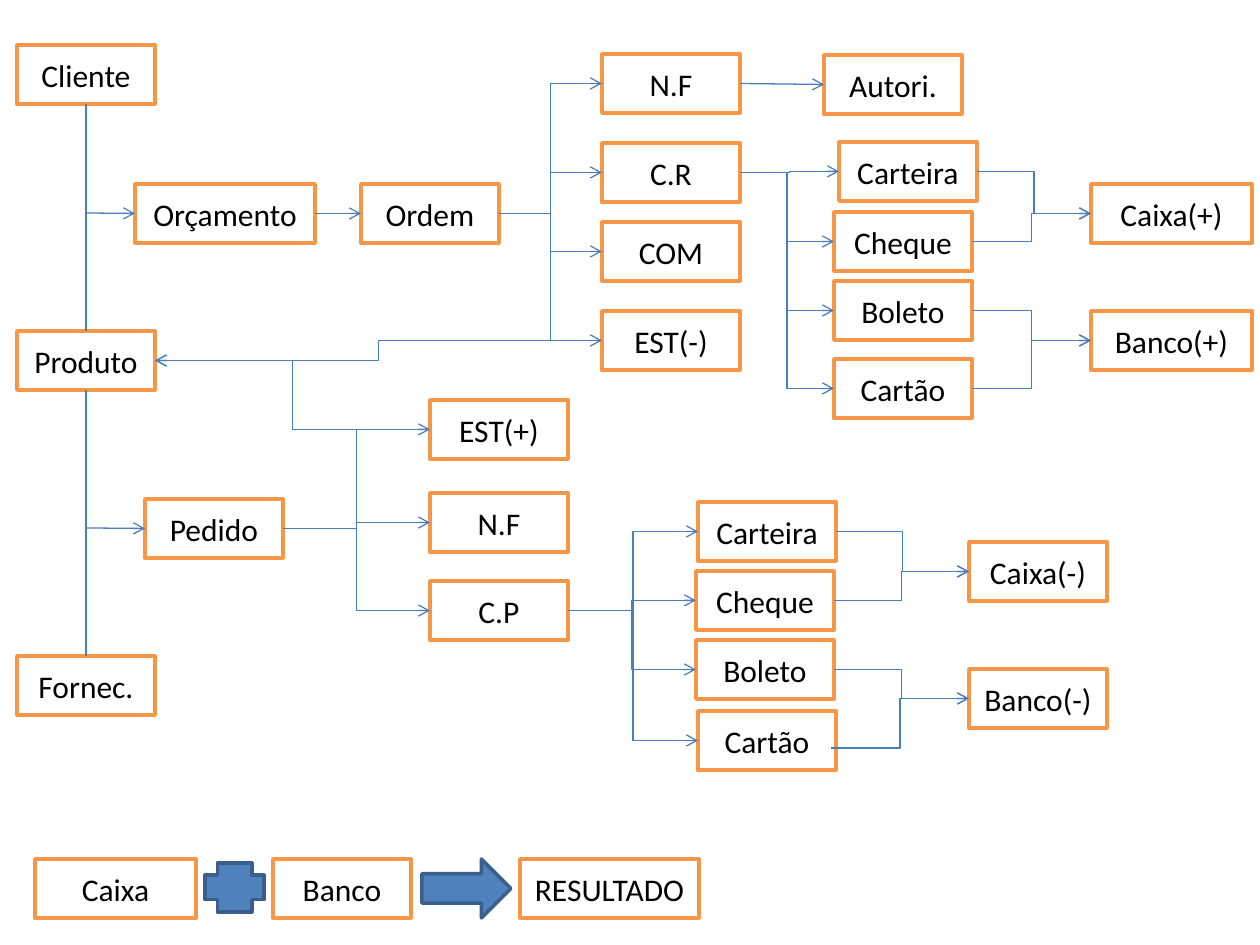
"""Build the flowchart of sales, purchases, cash and bank."""
from typing import NamedTuple

from lxml.etree import SubElement
from pptx import Presentation
from pptx.dml.color import RGBColor
from pptx.enum.shapes import MSO_CONNECTOR, MSO_SHAPE
from pptx.enum.text import MSO_ANCHOR, PP_ALIGN
from pptx.oxml.ns import qn
from pptx.util import Emu, Pt

COLOURS = {
    "white": "FFFFFF",
    "black": "000000",
    "border": "F79646",
    "connector": "4B7EBC",
    "symbol": "4F81BD",
    "symbol border": "3A5F8C",
}
FONT = {"name": "Calibri", "size": Pt(18)}
FRAME = {"word_wrap": True, "vertical_anchor": MSO_ANCHOR.MIDDLE}
PIXEL = 914400 / 126
TOP, LEFT, BOTTOM, RIGHT = range(4)
SPINE = 86


class Box(NamedTuple):
    key: str
    text: str
    left: int
    top: int
    width: int = 138
    height: int = 59


class Symbol(NamedTuple):
    kind: MSO_SHAPE
    left: int
    top: int
    width: int
    height: int


class Link(NamedTuple):
    source: str
    targets: tuple[str, ...]
    kind: MSO_CONNECTOR = MSO_CONNECTOR.ELBOW
    sides: tuple[int, int] = (RIGHT, LEFT)
    arrow: bool = True


BOXES = [
    Box("product", "Produto", 17, 331),
    Box("client", "Cliente", 17, 45),
    Box("supplier", "Fornec.", 17, 656),
    Box("quote", "Orçamento", 135, 184, 180),
    Box("sale", "Ordem", 361, 184),
    Box("sale invoice", "N.F", 602, 54),
    Box("receivable", "C.R", 602, 143),
    Box("commission", "COM", 602, 222),
    Box("stock out", "EST(-)", 602, 311),
    Box("authorisation", "Autori.", 824, 55),
    Box("wallet in", "Carteira", 839, 142),
    Box("cheque in", "Cheque", 834, 212),
    Box("slip in", "Boleto", 834, 281),
    Box("card in", "Cartão", 834, 359),
    Box("cash in", "Caixa(+)", 1091, 184, 161),
    Box("bank in", "Banco(+)", 1091, 311, 161),
    Box("order", "Pedido", 145, 499),
    Box("stock in", "EST(+)", 430, 400),
    Box("order invoice", "N.F", 430, 493),
    Box("payable", "C.P", 430, 581),
    Box("wallet out", "Carteira", 698, 502),
    Box("cheque out", "Cheque", 696, 571),
    Box("slip out", "Boleto", 696, 640),
    Box("card out", "Cartão", 698, 711),
    Box("cash out", "Caixa(-)", 969, 542),
    Box("bank out", "Banco(-)", 969, 669),
    Box("cash", "Caixa", 35, 859, 161),
    Box("bank", "Banco", 273, 859),
    Box("result", "RESULTADO", 520, 859, 179),
]
SYMBOLS = [
    Symbol(MSO_SHAPE.CROSS, 205, 863, 59, 49),
    Symbol(MSO_SHAPE.RIGHT_ARROW, 422, 859, 89, 59),
]
STRAIGHT = MSO_CONNECTOR.STRAIGHT
LINKS = [
    Link("client", ("product",), STRAIGHT, (BOTTOM, TOP), False),
    Link("product", ("supplier",), STRAIGHT, (BOTTOM, TOP), False),
    Link("quote", ("sale",), STRAIGHT),
    Link("sale invoice", ("authorisation",), STRAIGHT),
    Link("sale", ("sale invoice", "receivable", "commission", "stock out")),
    Link("receivable", ("wallet in", "cheque in", "slip in", "card in")),
    Link("wallet in", ("cash in",)),
    Link("cheque in", ("cash in",)),
    Link("slip in", ("bank in",)),
    Link("card in", ("bank in",)),
    Link("stock out", ("product",), sides=(LEFT, RIGHT)),
    Link("stock in", ("product",), sides=(LEFT, RIGHT)),
    Link("order", ("stock in", "order invoice", "payable")),
    Link("payable", ("wallet out", "cheque out", "slip out", "card out")),
    Link("wallet out", ("cash out",)),
    Link("cheque out", ("cash out",)),
    Link("slip out", ("bank out",)),
]


def px(length: int) -> Emu:
    """Turn pixels into EMU."""
    return Emu(round(length * PIXEL))


def colour(name: str) -> RGBColor:
    """Look up a colour by name."""
    return RGBColor.from_string(COLOURS[name])


def apply(target: object, values: dict) -> None:
    """Set each named attribute on the target."""
    for name, value in values.items():
        setattr(target, name, value)


def draw_shape(page, kind: MSO_SHAPE, bounds: tuple, fill: str, border: str):
    """Draw a filled and outlined preset shape."""
    shape = page.shapes.add_shape(kind, *map(px, bounds))
    shape.shadow.inherit = False
    shape.fill.solid()
    shape.fill.fore_color.rgb = colour(fill)
    shape.line.color.rgb = colour(border)
    shape.line.width = Pt(2)
    return shape


def draw_box(page, box: Box):
    """Draw a bordered box with a centred label."""
    shape = draw_shape(page, MSO_SHAPE.RECTANGLE, box[2:], "white", "border")
    apply(shape.text_frame, FRAME)
    para = shape.text_frame.paragraphs[0]
    para.alignment = PP_ALIGN.CENTER
    span = para.add_run()
    span.text = box.text
    apply(span.font, FONT)
    span.font.color.rgb = colour("black")
    return shape


def draw_connector(page, kind: MSO_CONNECTOR, start: tuple, arrow: bool = True):
    """Draw a thin connector whose ends are placed afterwards."""
    connector = page.shapes.add_connector(kind, *start, *start)
    connector.line.color.rgb = colour("connector")
    connector.line.width = Pt(0.75)
    properties = connector._element.spPr
    if arrow:
        SubElement(properties.find(qn("a:ln")), qn("a:tailEnd"), type="arrow")
    SubElement(properties, qn("a:effectLst"))
    return connector


def draw_link(page, link: Link, shapes: dict) -> None:
    """Join a source box to each of its targets."""
    for target in link.targets:
        connector = draw_connector(page, link.kind, (0, 0), link.arrow)
        connector.begin_connect(shapes[link.source], link.sides[0])
        connector.end_connect(shapes[target], link.sides[1])


def draw_branch(page, kind: MSO_CONNECTOR, left: int, top: int, target) -> None:
    """Draw an arrow from a free point to the left side of a box."""
    connector = draw_connector(page, kind, (px(left), px(top)))
    connector.end_connect(target, LEFT)


def main() -> None:
    """Draw the slide and save it."""
    deck = Presentation()
    deck.slide_width, deck.slide_height = px(1260), px(945)
    page = deck.slides.add_slide(deck.slide_layouts[6])
    shapes = {box.key: draw_box(page, box) for box in BOXES}
    for symbol in SYMBOLS:
        draw_shape(page, symbol.kind, symbol[1:], "symbol", "symbol border")
    for link in LINKS:
        draw_link(page, link, shapes)
    draw_branch(page, STRAIGHT, SPINE, 213, shapes["quote"])
    draw_branch(page, STRAIGHT, SPINE, 528, shapes["order"])
    draw_branch(page, MSO_CONNECTOR.ELBOW, 831, 748, shapes["bank out"])
    deck.save("out.pptx")


if __name__ == "__main__":
    main()
